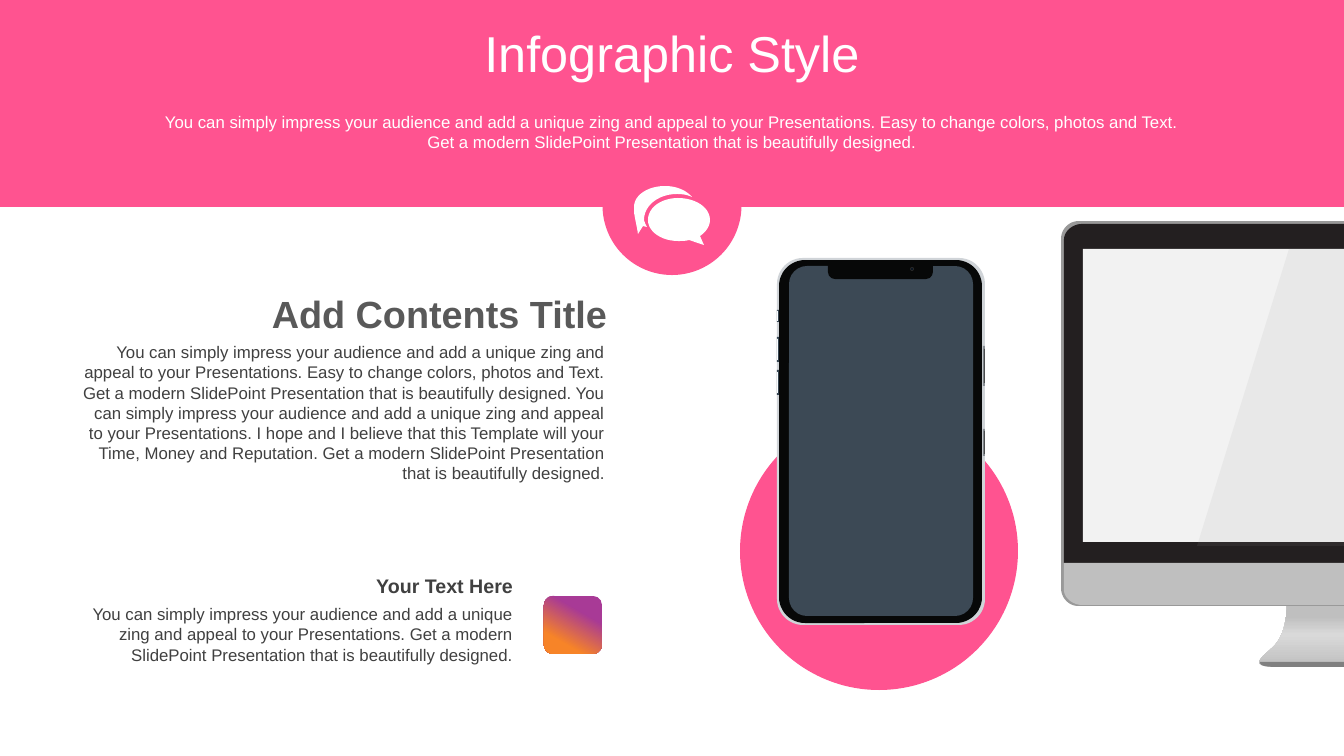
from dataclasses import dataclass

from lxml import etree
from pptx import Presentation
from pptx.dml.color import RGBColor
from pptx.enum.shapes import MSO_SHAPE as SHAPE
from pptx.enum.text import MSO_ANCHOR as ANCHOR, MSO_AUTO_SIZE as AUTO_SIZE, PP_ALIGN as ALIGN
from pptx.oxml.ns import qn
from pptx.util import Pt

PX = 12192000 / 1344
CURVE_STEPS = 12


@dataclass(frozen=True)
class Theme:
    font: str = "Arial"
    accent: str = "FF5390"
    white: str = "FFFFFF"
    heading: str = "595959"
    body: str = "404040"
    title_size: int = 36
    heading_size: int = 27
    subheading_size: int = 14
    body_size: int = 12
    phone_rim: str = "D0D4D8"
    phone_body: str = "070808"
    phone_screen: str = "3C4955"
    phone_button: str = "364551"
    button_light: str = "FAFDFF"
    side_key: str = "8A9096"
    side_key_dark: str = "4A4C4D"
    lens_ring: str = "262626"
    lens: str = "081422"
    monitor_frame: str = "999999"
    monitor_bezel: str = "231F20"
    monitor_chin: str = "BFBFBF"
    monitor_screen: str = "F2F2F2"
    monitor_foot: str = "808080"
    stand_stops: tuple = ((0, "BFBFBF"), (53, "D9D9D9"), (83, "BFBFBF"), (100, "BFBFBF"))
    badge_stops: tuple = ((0, "A83A96"), (30, "A83A96"), (76, "F78428"), (100, "F78428"))


THEME = Theme()
INVITE = "You can simply impress your audience and add a unique zing and appeal to your Presentations."
EASY = "Easy to change colors, photos and Text."
MODERN = "Get a modern SlidePoint Presentation that is beautifully designed."
HOPE = "I hope and I believe that this Template will your Time, Money and Reputation."


def emu(px):
    return round(px * PX)


def paint(shape, color, alpha=None):
    shape.shadow.inherit = False
    shape.line.fill.background()
    shape.fill.solid()
    shape.fill.fore_color.rgb = RGBColor.from_string(color)
    if alpha is not None:
        color_node = shape.fill._xPr.find(".//" + qn("a:srgbClr"))
        etree.SubElement(color_node, qn("a:alpha"), val=str(alpha * 1000))


def paint_gradient(shape, stops, angle):
    shape.shadow.inherit = False
    shape.line.fill.background()
    shape.fill.gradient()
    gradient = shape.fill._xPr.find(qn("a:gradFill"))
    stop_list = gradient.find(qn("a:gsLst"))
    for old_stop in list(stop_list):
        stop_list.remove(old_stop)
    for position, color in stops:
        stop = etree.SubElement(stop_list, qn("a:gs"), pos=str(position * 1000))
        etree.SubElement(stop, qn("a:srgbClr"), val=color)
    gradient.find(qn("a:lin")).set("ang", str(angle * 60000))


def preset(slide, kind, left, top, width, height, color, radius=None):
    shape = slide.shapes.add_shape(kind, emu(left), emu(top), emu(width), emu(height))
    paint(shape, color)
    if radius is not None:
        shape.adjustments[0] = radius / min(width, height)
    return shape


def trace(steps):
    """Turn points (x, y) and cubic curves (x1, y1, x2, y2, x, y) into plain points."""
    points = []
    for step in steps:
        if len(step) == 2:
            points.append(step)
            continue
        start = points[-1]
        controls = (start, step[:2], step[2:4], step[4:])
        for i in range(1, CURVE_STEPS + 1):
            t = i / CURVE_STEPS
            weights = ((1 - t) ** 3, 3 * t * (1 - t) ** 2, 3 * t * t * (1 - t), t ** 3)
            points.append(tuple(sum(w * c[axis] for w, c in zip(weights, controls)) for axis in (0, 1)))
    return [(emu(x), emu(y)) for x, y in points]


def outline(slide, left, top, *contours):
    first, *others = [trace(contour) for contour in contours]
    builder = slide.shapes.build_freeform(*first[0], scale=1.0)
    builder.add_line_segments(first[1:], close=True)
    for contour in others:
        builder.move_to(*contour[0])
        builder.add_line_segments(contour[1:], close=True)
    return builder.convert_to_shape(emu(left), emu(top))


def style(paragraph, size, color, align, bold=False):
    paragraph.alignment = align
    for run in paragraph.runs:
        run.font.name = THEME.font
        run.font.size = Pt(size)
        run.font.bold = bold
        run.font.color.rgb = RGBColor.from_string(color)


def write(slide, box, text, size, color, align=ALIGN.RIGHT, bold=False):
    frame = slide.shapes.add_textbox(*map(emu, box)).text_frame
    frame.word_wrap = True
    frame.auto_size = AUTO_SIZE.SHAPE_TO_FIT_TEXT
    frame.text = text
    style(frame.paragraphs[0], size, color, align, bold)


def phone(slide, left, top, width, height):
    def part(kind, x, y, w, h, color, radius=None):
        return preset(slide, kind, left + x, top + y, w, h, color, radius)

    part(SHAPE.ROUNDED_RECTANGLE, 0, 0, width, height, THEME.phone_rim, 26)
    part(SHAPE.ROUNDED_RECTANGLE, 2, 2, width - 5, height - 4, THEME.phone_body, 26)
    part(SHAPE.ROUNDED_RECTANGLE, 12, 8, width - 24, height - 17, THEME.phone_screen, 18)
    notch = part(SHAPE.ROUND_2_SAME_RECTANGLE, 51, 7, 105, 14, THEME.phone_body, 0)
    notch.adjustments[1] = 0.5
    for y, h, inset in ((52, 12, 1), (79, 25, 2), (112, 25, 2)):
        part(SHAPE.RECTANGLE, 0, y, 2, h, THEME.phone_button)
        part(SHAPE.RECTANGLE, 0, y + inset, 1, h - 2 * inset, THEME.button_light)
    for y, h, inset in ((88, 40, 3), (171, 27, 2)):
        part(SHAPE.RECTANGLE, width - 2, y, 2, h, THEME.side_key)
        part(SHAPE.RECTANGLE, width - 1, y + inset, 1, h - 2 * inset, THEME.side_key_dark)
    for size, color in ((8, THEME.phone_body), (4, THEME.lens_ring), (2, THEME.lens)):
        part(SHAPE.OVAL, 135 - size / 2, 11 - size / 2, size, size, color)


def monitor(slide, left, top, width, height):
    """Left part of a desktop screen, cut off at the right side of its box."""
    stand = outline(slide, left, top, [
        (226, 385), (width, 385), (width, height), (216, height),
        (184, height, 202, 436, 214, 424), (226, 411, 226, 385, 226, 385)])
    paint_gradient(stand, THEME.stand_stops, 270)
    frame = [(18, 0), (width, 0), (width, 385), (17, 385), (8, 385, 0, 377, 0, 367),
             (0, 18), (0, 8, 8, 0, 18, 0)]
    bezel = [(21, 3), (width, 3), (width, 342), (3, 342), (3, 19), (3, 10, 12, 3, 21, 3)]
    foot = [(199, 441), (width, 441), (width, height), (217, height), (204, height, 199, 445, 199, 441)]
    chin = [(3, 342), (width, 342), (width, 384), (21, 384), (12, 384, 3, 377, 3, 369)]
    for contour, color in ((frame, THEME.monitor_frame), (bezel, THEME.monitor_bezel),
                           (foot, THEME.monitor_foot), (chin, THEME.monitor_chin)):
        paint(outline(slide, left, top, contour), color)
    preset(slide, SHAPE.RECTANGLE, left + 22, top + 28, width - 22, 293, THEME.monitor_screen)
    glare = outline(slide, left, top, [(228, 28), (width, 28), (width, 325), (136, 325)])
    paint(glare, THEME.monitor_frame, alpha=10)


def speech_bubbles(slide, left, top):
    front = [(44, 12), (61, 12, 76, 21, 76, 34), (76, 40, 72, 46, 66, 50), (70, 59), (55, 54),
             (52, 55, 48, 55, 44, 55), (28, 55, 14, 46, 14, 34), (14, 21, 28, 12, 44, 12)]
    back = [(31, 0), (42, 0, 52, 4, 58, 11), (54, 9, 49, 8, 43, 8), (25, 8, 10, 19, 10, 34),
            (10, 35, 11, 36, 11, 37), (13, 41), (9, 40), (4, 48), (3, 41, 1, 33, 0, 26),
            (0, 25, 0, 23, 0, 21), (0, 9, 14, 0, 31, 0)]
    paint(outline(slide, left, top, front, back), THEME.white)


def header(slide, left, top, width, height):
    preset(slide, SHAPE.RECTANGLE, left, top, width, height, THEME.accent)
    preset(slide, SHAPE.OVAL, left + (width - 139) / 2, top + height - 71, 139, 139, THEME.accent)
    title = slide.shapes.title
    title.left, title.top, title.width, title.height = map(emu, (left, top + 29, width, 55))
    title.element.getparent().append(title.element)
    frame = title.text_frame
    frame.text = "Infographic Style"
    frame.auto_size = AUTO_SIZE.NONE
    frame.vertical_anchor = ANCHOR.MIDDLE
    frame.paragraphs[0].line_spacing = 0.9
    style(frame.paragraphs[0], THEME.title_size, THEME.white, ALIGN.CENTER)
    write(slide, (left + 151, top + 107, width - 302, 50), f"{INVITE} {EASY} {MODERN}",
          THEME.body_size, THEME.white, ALIGN.CENTER)
    speech_bubbles(slide, left + 634, top + 186)


def contents(slide, left, top, width):
    write(slide, (left, top + 51, width - 2, 152),
          f"{INVITE} {EASY} {MODERN} {INVITE} {HOPE} {MODERN}", THEME.body_size, THEME.body)
    write(slide, (left, top, width, 56), "Add Contents Title",
          THEME.heading_size, THEME.heading, bold=True)


def callout(slide, left, top, width):
    write(slide, (left, top + 30, width, 72), f"{INVITE} {MODERN}", THEME.body_size, THEME.body)
    write(slide, (left, top, width, 34), "Your Text Here",
          THEME.subheading_size, THEME.body, bold=True)
    badge = preset(slide, SHAPE.ROUNDED_RECTANGLE, left + width + 21, top + 27, 58, 58, THEME.accent, 9)
    paint_gradient(badge, THEME.badge_stops, 120)


def main():
    deck = Presentation()
    deck.slide_width, deck.slide_height = emu(1344), emu(756)
    slide = deck.slides.add_slide(deck.slide_layouts[5])
    preset(slide, SHAPE.OVAL, 740, 412, 278, 278, THEME.accent)
    phone(slide, 777, 258, 208, 367)
    monitor(slide, 1061, 221, 283, 446)
    header(slide, 0, 0, 1344, 207)
    contents(slide, 73, 286, 544)
    callout(slide, 73, 569, 450)
    deck.save("out.pptx")


if __name__ == "__main__":
    main()
